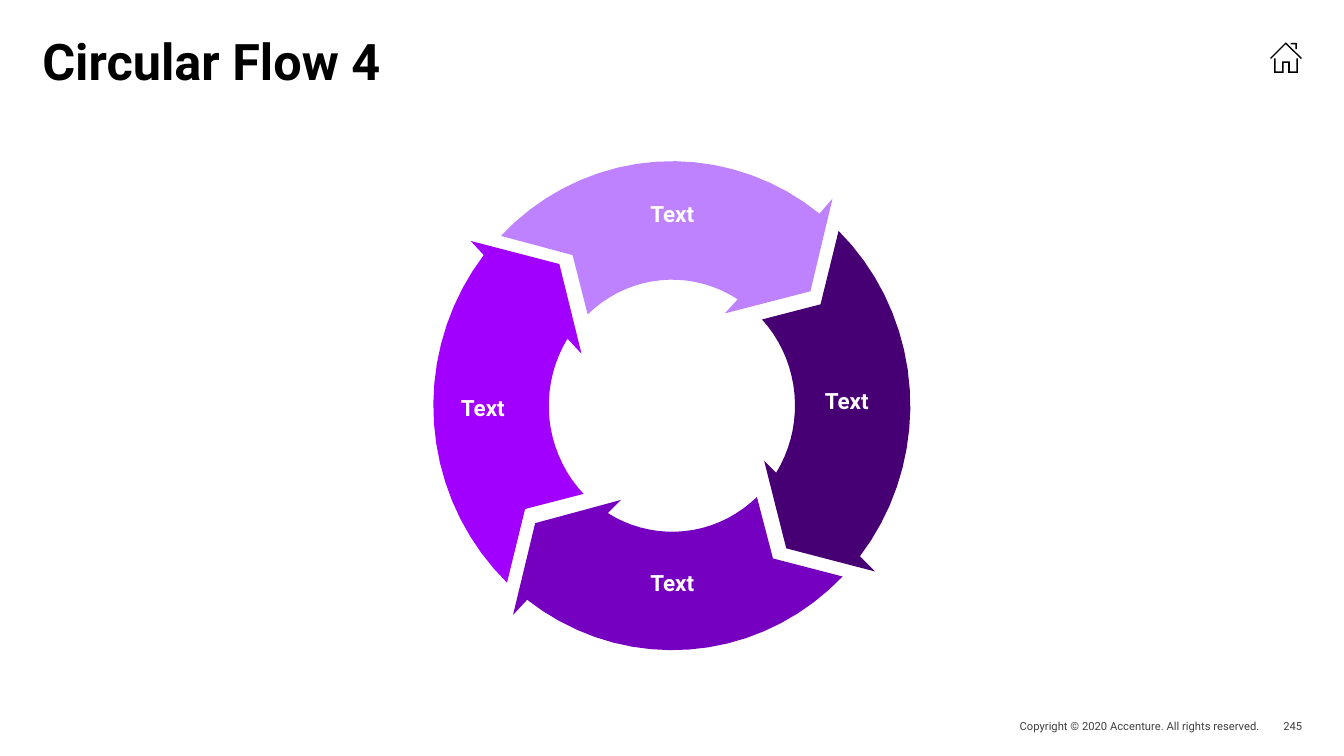
import math
from collections import namedtuple

from pptx import Presentation
from pptx.dml.color import RGBColor
from pptx.enum import text
from pptx.util import Pt

BLACK = RGBColor(0x00, 0x00, 0x00)
GREY = RGBColor(0x40, 0x40, 0x40)
WHITE = RGBColor(0xFF, 0xFF, 0xFF)
LILAC = RGBColor(0xBE, 0x82, 0xFF)
VIOLET = RGBColor(0xA1, 0x00, 0xFF)
PURPLE = RGBColor(0x75, 0x00, 0xC0)
PLUM = RGBColor(0x46, 0x00, 0x73)

RING_CENTRE = (480, 289.6)
OUTER_RADII = (170.3, 174.8)
INNER_RADII = (87.8, 90.2)

# head: inner barb, elbow, outer barb; outer and inner: ends of the arcs; tail: notch
Segment = namedtuple("Segment", "colour head outer tail inner label")
SEGMENTS = [
    Segment(VIOLET, [(415.4, 252.7), (399.6, 188.6), (336.2, 172.1)],
            [(345.6, 182.2), (362.2, 416.2)], (375.1, 363.6),
            [(416.9, 352.8), (405.4, 241.9)], (308.2, 281.5, 73.4, 19.4)),
    Segment(PURPLE, [(443.5, 357.1), (382.3, 373.7), (366.5, 439.2)],
            [(376.6, 428.4), (601.9, 411.8)], (552.2, 398.9),
            [(540.7, 355), (434.2, 366.5)], (457.9, 401.8, 44.6, 28.8)),
    Segment(PLUM, [(545.8, 329), (561.6, 391.7), (625, 408.2)],
            [(614.2, 397.4), (599, 164.9)], (586.1, 217.4),
            [(544.3, 228.2), (554.4, 337.7)], (568.1, 276.5, 73.4, 19.4)),
    Segment(LILAC, [(517.7, 223.9), (578.9, 208.1), (594.7, 141.8)],
            [(585.4, 152.6), (357.8, 168.5)], (409, 182.2),
            [(419.8, 224.6), (527, 213.8)], (457.9, 138.2, 44.6, 28.8)),
]

HOME_ORIGIN = (907.2, 30.2)
HOME_CONTOURS = [
    [(2.9, 11.5), (2.9, 21.9), (9.7, 21.9), (9.7, 14.8), (13, 14.8), (13, 21.9),
     (19.9, 21.9), (19.9, 11.5), (18.8, 11.5), (18.8, 20.8), (14.1, 20.8),
     (14.1, 13.7), (8.6, 13.7), (8.6, 20.8), (4, 20.8), (4, 11.5)],
    [(14.6, 0.5), (19.1, 0.5), (19.1, 5), (18, 5), (18, 1.6), (14.6, 1.6)],
    [(0, 11.2), (11.2, 0), (22.7, 11.2), (22, 11.9), (11.2, 1.4), (0.7, 11.9)],
]


def arc(ends, radii, steps=18):
    """Points along the ring's ellipse between two ends, the shorter way round."""
    (start, start_scale), (end, end_scale) = [
        (math.atan2(v, u), math.hypot(u, v))
        for u, v in ([(p - c) / r for p, c, r in zip(point, RING_CENTRE, radii)]
                     for point in ends)]
    sweep = (end - start + math.pi) % (2 * math.pi) - math.pi
    points = []
    for step in range(steps + 1):
        share = step / steps
        angle = start + sweep * share
        scale = start_scale + (end_scale - start_scale) * share
        points.append((RING_CENTRE[0] + radii[0] * scale * math.cos(angle),
                       RING_CENTRE[1] + radii[1] * scale * math.sin(angle)))
    return points


class SlideBuilder:
    font_name = "Roboto"

    def __init__(self, presentation):
        self.slide = presentation.slides.add_slide(presentation.slide_layouts[5])

    def set_text(self, shape, words, box, size, colour, bold, align, anchor):
        shape.left, shape.top, shape.width, shape.height = map(Pt, box)
        frame = shape.text_frame
        frame.margin_left = frame.margin_top = 0
        frame.margin_right = frame.margin_bottom = 0
        frame.word_wrap = True
        frame.auto_size = text.MSO_AUTO_SIZE.NONE
        frame.vertical_anchor = anchor
        frame.text = words
        paragraph = frame.paragraphs[0]
        paragraph.alignment = align
        font = paragraph.font
        font.name, font.size, font.bold = self.font_name, Pt(size), bold
        font.color.rgb = colour
        return paragraph

    def title(self, words, box):
        paragraph = self.set_text(self.slide.shapes.title, words, box, 36, BLACK, True,
                                  text.PP_ALIGN.LEFT, text.MSO_ANCHOR.TOP)
        paragraph.line_spacing = 0.8

    def label(self, words, box, size=16, colour=WHITE, bold=True,
              align=text.PP_ALIGN.CENTER):
        shape = self.slide.shapes.add_textbox(0, 0, 0, 0)
        self.set_text(shape, words, box, size, colour, bold, align,
                      text.MSO_ANCHOR.MIDDLE)

    def footer(self, words, box):
        self.label(words, box, 8, GREY, False, text.PP_ALIGN.RIGHT)

    def outline(self, contours, colour, origin=(0, 0)):
        """Filled freeform made of one or more closed contours."""
        builder = None
        for contour in contours:
            first, *rest = [(Pt(x + origin[0]), Pt(y + origin[1])) for x, y in contour]
            if builder is None:
                builder = self.slide.shapes.build_freeform(*first)
            else:
                builder.move_to(*first)
            builder.add_line_segments(rest, close=True)
        shape = builder.convert_to_shape()
        shape.shadow.inherit = False
        shape.fill.solid()
        shape.fill.fore_color.rgb = colour
        shape.line.fill.background()

    def segment(self, segment):
        contour = [*segment.head, *arc(segment.outer, OUTER_RADII), segment.tail,
                   *arc(segment.inner, INNER_RADII)]
        self.outline([contour], segment.colour)


def main():
    presentation = Presentation()
    presentation.slide_width, presentation.slide_height = Pt(960), Pt(540)
    builder = SlideBuilder(presentation)
    builder.footer("Copyright © 2020 Accenture. All rights reserved.",
                   (655.2, 510.5, 244.8, 15.8))
    builder.footer("245", (900, 510.5, 30.2, 16.6))
    builder.title("Circular Flow 4", (30.2, 30.2, 900, 77.8))
    builder.outline(HOME_CONTOURS, BLACK, HOME_ORIGIN)
    for segment in SEGMENTS:
        builder.segment(segment)
    for segment in SEGMENTS:
        builder.label("Text", segment.label)
    presentation.save("out.pptx")


if __name__ == "__main__":
    main()
